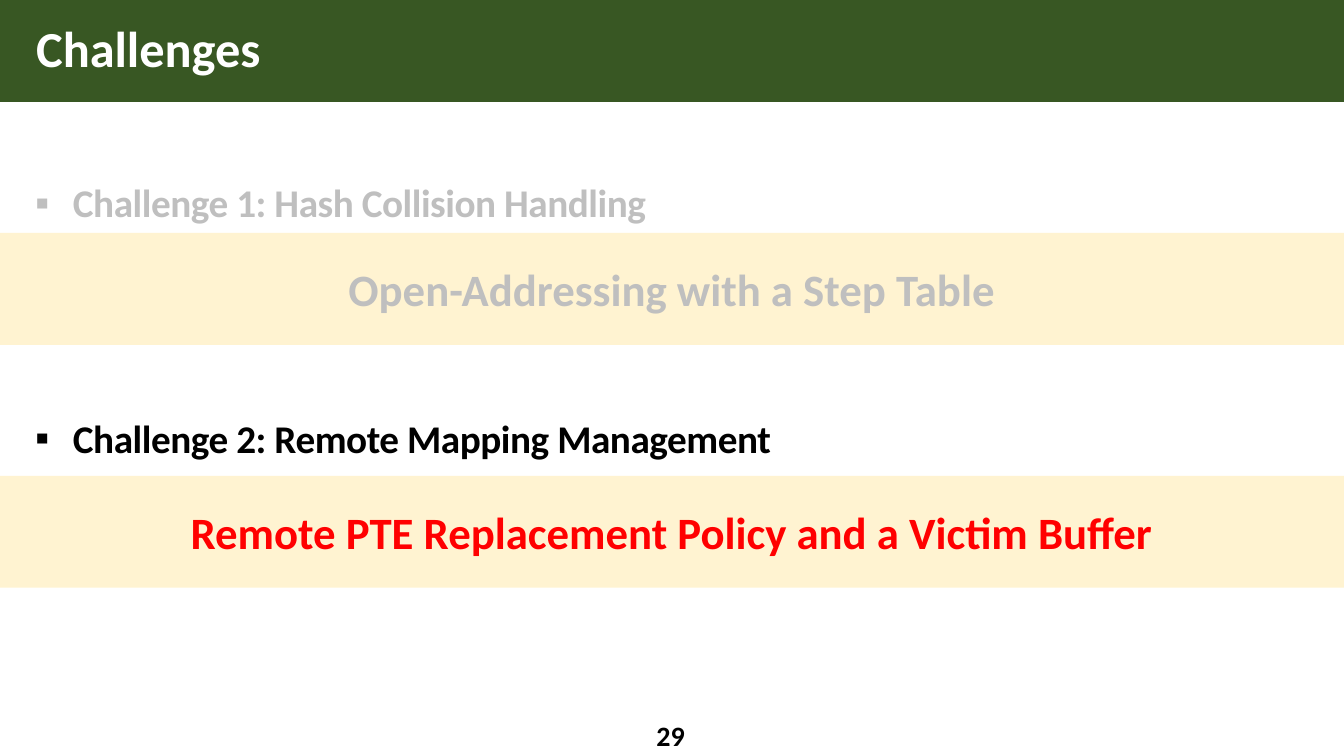
from pptx import Presentation
from pptx.dml.color import RGBColor
from pptx.enum.shapes import MSO_SHAPE as Shape
from pptx.enum.text import MSO_ANCHOR as Anchor, PP_ALIGN as Align
from pptx.oxml.ns import qn
from pptx.util import Cm, Pt
from lxml.etree import SubElement

GREEN = RGBColor(0x38, 0x57, 0x23)
CREAM = RGBColor(0xFF, 0xF2, 0xCC)
GREY = RGBColor(0xBF, 0xBF, 0xBF)
RED = RGBColor(0xFF, 0x00, 0x00)
BLACK = RGBColor(0x00, 0x00, 0x00)
WHITE = RGBColor(0xFF, 0xFF, 0xFF)

HEADING = "Challenges"
PAGE = "29"
CHALLENGES = [
    dict(name="Challenge 1: Hash Collision Handling", name_color=GREY, name_middle=5.17,
         answer="Open-Addressing with a Step Table", answer_color=GREY, band_top=5.87),
    dict(name="Challenge 2: Remote Mapping Management", name_color=BLACK, name_middle=11.11,
         answer="Remote PTE Replacement Policy and a Victim Buffer", answer_color=RED,
         band_top=11.99),
]

SLIDE_W, SLIDE_H = 33.87, 19.05
HEADER_H, BAND_H, NAME_H = 2.57, 2.82, 1.4
NAME_LEFT, NAME_W = 0.89, 32.2
BULLET_INDENT = 0.95


def write(holder, text, *, size, color, align=Align.LEFT, line_spacing=1.0,
          bullet=None, tracking=0, inset=0.25):
    """Put one bold, vertically centred paragraph into a shape."""
    frame = holder.text_frame
    frame.word_wrap = True
    frame.vertical_anchor = Anchor.MIDDLE
    frame.margin_left = frame.margin_right = Cm(inset)
    frame.margin_top = frame.margin_bottom = 0
    paragraph = frame.paragraphs[0]
    paragraph.alignment = align
    paragraph.line_spacing = line_spacing
    if bullet:
        props = paragraph._p.get_or_add_pPr()
        props.set("marL", str(Cm(BULLET_INDENT)))
        props.set("indent", str(-Cm(BULLET_INDENT)))
        SubElement(props, qn("a:buFont")).set("typeface", "Calibri")
        SubElement(props, qn("a:buChar")).set("char", bullet)
    run = paragraph.add_run()
    run.text = text
    run.font.name = "Calibri"
    run.font.size = Pt(size)
    run.font.bold = True
    run.font.color.rgb = color
    if tracking:
        run._r.get_or_add_rPr().set("spc", str(round(tracking * 100)))


def add_band(slide, top, height, color, opacity=100):
    """Draw a borderless strip across the whole slide."""
    band = slide.shapes.add_shape(Shape.RECTANGLE, 0, Cm(top), Cm(SLIDE_W), Cm(height))
    band.shadow.inherit = False
    band.fill.solid()
    band.fill.fore_color.rgb = color
    band.line.fill.background()
    if opacity < 100:
        tint = band._element.spPr.find(qn("a:solidFill"))[0]
        SubElement(tint, qn("a:alpha")).set("val", str(opacity * 1000))
    return band


def main():
    """Build the slide and save it."""
    deck = Presentation()
    deck.slide_width, deck.slide_height = Cm(SLIDE_W), Cm(SLIDE_H)
    slide = deck.slides.add_slide(deck.slide_layouts[5])

    header = add_band(slide, 0, HEADER_H, GREEN)
    slide.shapes._spTree.insert(2, header._element)
    title = slide.shapes.title
    title.left, title.top = Cm(0.66), 0
    title.width, title.height = Cm(32.46), Cm(HEADER_H)
    write(title, HEADING, size=36, color=WHITE, line_spacing=0.9)

    for challenge in CHALLENGES:
        name = slide.shapes.add_textbox(
            Cm(NAME_LEFT), Cm(challenge["name_middle"] - NAME_H / 2), Cm(NAME_W), Cm(NAME_H))
        write(name, challenge["name"], size=28, color=challenge["name_color"],
              line_spacing=0.9, bullet="▪", tracking=-0.3, inset=0)
        answer = add_band(slide, challenge["band_top"], BAND_H, CREAM, opacity=90)
        write(answer, challenge["answer"], size=32, color=challenge["answer_color"],
              align=Align.CENTER)

    page = slide.shapes.add_textbox(Cm(15.06), Cm(18.03), Cm(3.68), Cm(1.02))
    write(page, PAGE, size=20, color=BLACK, align=Align.CENTER)

    deck.save("out.pptx")


if __name__ == "__main__":
    main()
